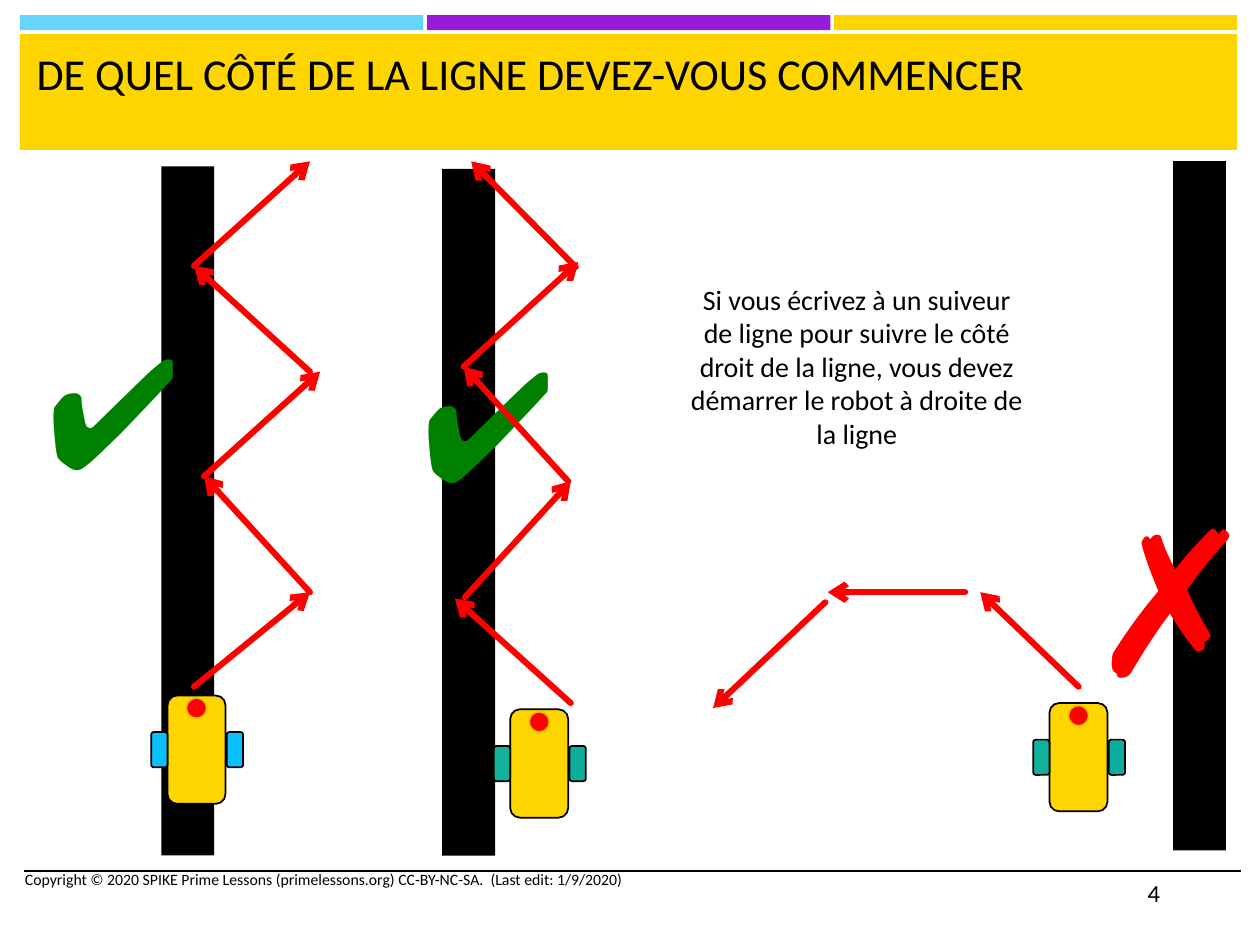
import pptx
import pptx.dml.color
import pptx.enum.shapes
import pptx.enum.text
import pptx.oxml
import pptx.oxml.ns
import pptx.util
from pptx.util import Inches

SHAPE = pptx.enum.shapes.MSO_SHAPE
ALIGN = pptx.enum.text.PP_ALIGN
AUTO_SIZE = pptx.enum.text.MSO_AUTO_SIZE
BLACK, YELLOW, RED, GREEN = "000000", "FFD500", "FF0000", "008000"


def color(hex_value):
    return pptx.dml.color.RGBColor.from_string(hex_value)


def add_block(shapes, kind, left, top, width, height, fill, outline=None):
    shape = shapes.add_shape(kind, Inches(left), Inches(top), Inches(width), Inches(height))
    shape.shadow.inherit = False
    shape.fill.solid()
    shape.fill.fore_color.rgb = color(fill)
    if outline:
        shape.line.color.rgb = color(outline)
        shape.line.width = pptx.util.Pt(1)
    else:
        shape.line.fill.background()


presentation = pptx.Presentation()
presentation.slide_width = Inches(10)
presentation.slide_height = Inches(7.5)
slide = presentation.slides.add_slide(presentation.slide_layouts[5])

# Header stripes and title band
for index, fill in enumerate(["65D7FF", "961BDB", YELLOW]):
    add_block(slide.shapes, SHAPE.RECTANGLE, 0.16 + index * 3.23, 0.12, 3.2, 0.12, fill)
add_block(slide.shapes, SHAPE.RECTANGLE, 0.16, 0.27, 9.66, 0.92, YELLOW)

# Title, brought in front of the band
title = slide.shapes.title
title.left, title.top = Inches(0.19), Inches(0.32)
title.width, title.height = Inches(9.57), Inches(0.82)
title.element.getparent().append(title.element)
title.text_frame.vertical_anchor = pptx.enum.text.MSO_ANCHOR.TOP
title.text_frame.auto_size = AUTO_SIZE.NONE
paragraph = title.text_frame.paragraphs[0]
paragraph.alignment = ALIGN.LEFT
run = paragraph.add_run()
run.text = "DE QUEL CÔTÉ DE LA LIGNE DEVEZ-VOUS COMMENCER"
run.font.name = "Calibri"
run.font.size = pptx.util.Pt(25.2)
run.font.color.rgb = color(BLACK)

# Black lines that the robots follow
for left, top, height in [(1.28, 1.32, 5.47), (3.51, 1.34, 5.45), (9.31, 1.28, 5.47)]:
    add_block(slide.shapes, SHAPE.RECTANGLE, left, top, 0.42, height, BLACK)

# Texts: left, top, width, height, text, font, size, colour, alignment, grows
texts = [
    (0.1, 6.85, 5.33, 0.36,
     "Copyright © 2020 SPIKE Prime Lessons (primelessons.org) CC-BY-NC-SA.  (Last edit: 1/9/2020)",
     "Calibri", 9, BLACK, ALIGN.LEFT, False),
    (9.01, 6.92, 0.84, 0.4, "4", "Calibri", 14, BLACK, ALIGN.LEFT, False),
    (3.25, 2.55, 1.07, 1.58, "✔", "Arial", 88, GREEN, ALIGN.LEFT, True),
    (8.54, 3.72, 1.07, 2.04, "✗", "Arial", 115, RED, ALIGN.LEFT, True),
    (0.27, 2.45, 1.07, 1.58, "✔", "Arial", 88, GREEN, ALIGN.LEFT, True),
    (5.36, 2.19, 2.88, 1.45,
     "Si vous écrivez à un suiveur de ligne pour suivre le côté droit de la ligne, "
     "vous devez démarrer le robot à droite de la ligne",
     "Calibri", 16, BLACK, ALIGN.CENTER, True),
]
for left, top, width, height, text, font, size, text_color, alignment, grows in texts:
    text_box = slide.shapes.add_textbox(Inches(left), Inches(top), Inches(width), Inches(height))
    text_box.text_frame.word_wrap = True
    text_box.text_frame.auto_size = AUTO_SIZE.SHAPE_TO_FIT_TEXT if grows else AUTO_SIZE.NONE
    paragraph = text_box.text_frame.paragraphs[0]
    paragraph.alignment = alignment
    run = paragraph.add_run()
    run.text = text
    run.font.name = font
    run.font.size = pptx.util.Pt(size)
    run.font.color.rgb = color(text_color)

# Robots: body corner, left and right wheel colours
robots = [
    (1.33, 5.52, "0CC0FF", "0CC0FF"),
    (4.05, 5.63, "13B09B", "0EAE9F"),
    (8.33, 5.58, "13B09B", "0EAE9F"),
]
for left, top, left_wheel, right_wheel in robots:
    robot = slide.shapes.add_group_shape().shapes
    add_block(robot, SHAPE.ROUNDED_RECTANGLE, left, top, 0.46, 0.86, YELLOW, BLACK)
    for offset, wheel in [(0.47, right_wheel), (-0.13, left_wheel)]:
        add_block(robot, SHAPE.ROUNDED_RECTANGLE, left + offset, top + 0.29, 0.13, 0.28, wheel, BLACK)
    add_block(robot, SHAPE.OVAL, left + 0.15, top + 0.02, 0.16, 0.16, RED, "E6C000")

# Footer rule and robot paths: start, end, colour, width
lines = [(0.19, 6.91, 9.85, 6.91, BLACK, 1)]
paths = [
    # Along the first line
    (1.54, 5.45, 2.46, 4.7), (2.46, 4.7, 1.62, 3.78), (1.62, 3.78, 2.54, 2.95),
    (2.46, 2.95, 1.54, 2.11), (1.54, 2.11, 2.46, 1.28),
    # Along the second line
    (4.53, 5.58, 3.61, 4.75), (3.69, 4.74, 4.53, 3.82), (4.51, 3.82, 3.68, 2.91),
    (3.68, 2.91, 4.59, 2.08), (4.57, 2.12, 3.74, 1.28),
    # Away from the third line
    (8.56, 5.45, 7.78, 4.7), (7.66, 4.7, 6.57, 4.7), (6.55, 4.78, 5.66, 5.62),
]
lines += [(*path, RED, 3.5) for path in paths]
for start_x, start_y, end_x, end_y, line_color, width in lines:
    connector = slide.shapes.add_connector(
        pptx.enum.shapes.MSO_CONNECTOR.STRAIGHT,
        Inches(start_x), Inches(start_y), Inches(end_x), Inches(end_y))
    connector.line.color.rgb = color(line_color)
    connector.line.width = pptx.util.Pt(width)
    properties = connector.element.spPr
    if line_color == RED:
        outline = properties.find(pptx.oxml.ns.qn("a:ln"))
        outline.set("cap", "rnd")
        outline.append(pptx.oxml.parse_xml(
            f'<a:tailEnd {pptx.oxml.ns.nsdecls("a")} type="arrow"/>'))
    properties.append(pptx.oxml.parse_xml(f'<a:effectLst {pptx.oxml.ns.nsdecls("a")}/>'))

presentation.save("out.pptx")
